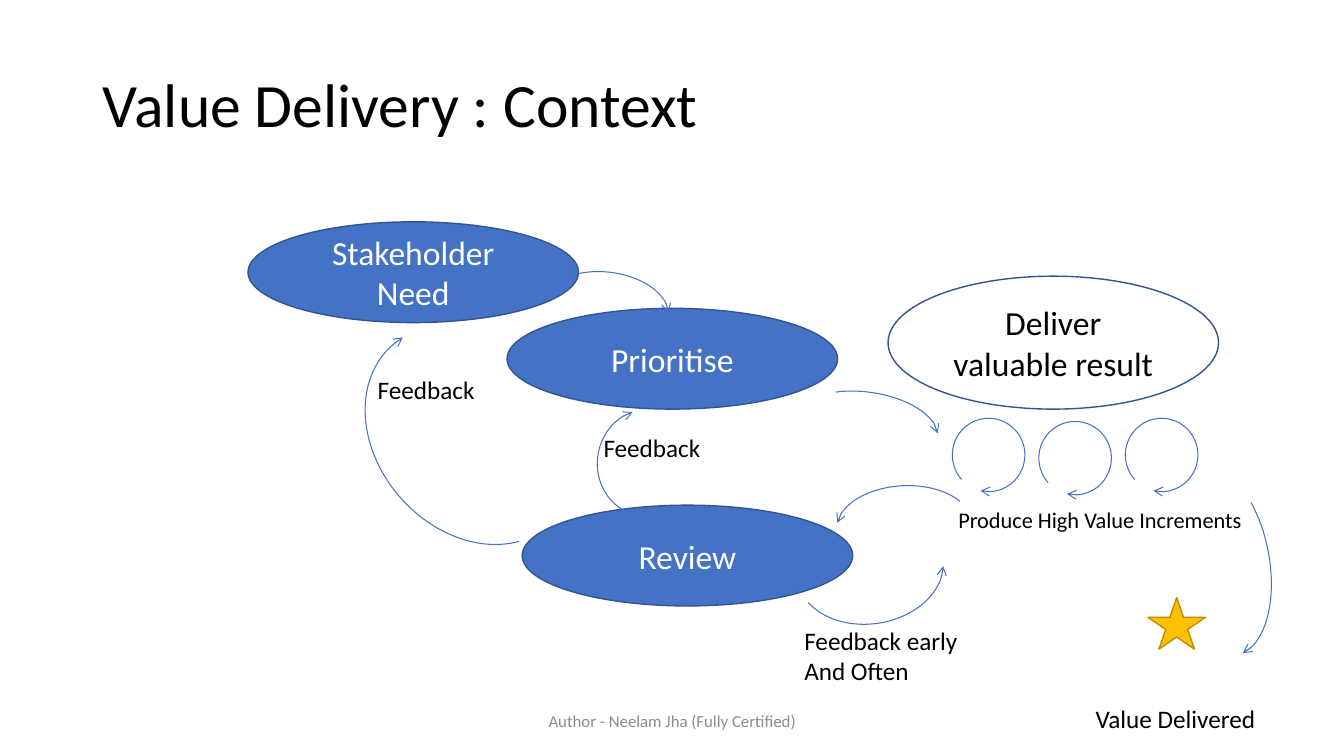
from lxml import etree
from pptx import Presentation
from pptx.dml.color import RGBColor
from pptx.enum.shapes import MSO_SHAPE
from pptx.enum.text import MSO_ANCHOR, PP_ALIGN
from pptx.oxml.ns import qn
from pptx.util import Cm, Pt

OVAL, ARC, STAR = MSO_SHAPE.OVAL, MSO_SHAPE.ARC, MSO_SHAPE.STAR_5_POINT
LEFT, CENTER = PP_ALIGN.LEFT, PP_ALIGN.CENTER
TOP, MIDDLE = MSO_ANCHOR.TOP, MSO_ANCHOR.MIDDLE

THEME = {
    "font": "Calibri",
    "blue": "4472C4", "edge": "325491", "gold": "FFC000", "rim": "BD8E00",
    "black": "000000", "white": "FFFFFF", "grey": "8C8C8C",
    "title": 44, "step": 24, "label": 18, "small": 16, "foot": 12,
}

# Content: boxes are left, top, width, height in cm
TITLE = ("Value Delivery : Context", (2.34, 0.86, 29.21, 3.68))
STEPS = [
    ("Stakeholder Need", (6.25, 5.59, 8.33, 2.54), "blue", "white"),
    ("Prioritise", (12.78, 7.77, 8.33, 2.54), "blue", "white"),
    ("Deliver\vvaluable result", (22.38, 6.96, 8.33, 3.35), None, "black"),
    ("Review", (13.16, 12.73, 8.33, 2.54), "blue", "white"),
]
LOOP = {"left": 24.0, "gap": 2.18, "tops": (10.54, 10.62, 10.54),
        "size": (1.83, 1.85), "span": (137.75, 102.8)}
OVER, UNDER, BACK = (222.99, 355.9), (200.55, 353.92), (173.88, 343.37)
# Arrows: box, rotation, start and end angle, flipped, arrowhead end
ARROWS = [
    ((13.74, 6.86, 3.12, 1.85), 7.8, OVER, False, "tail"),
    ((19.99, 9.88, 3.66, 1.85), 7.8, OVER, False, "tail"),
    ((20.07, 12.95, 3.71, 2.77), 351.8, UNDER, True, "tail"),
    ((28.19, 12.78, 4.93, 2.64), 78.4, OVER, False, "tail"),
    ((21.08, 12.24, 3.4, 2.03), 176.7, UNDER, True, "tail"),
    ((14.94, 10.44, 2.67, 2.44), 95.9, UNDER, True, "head"),
    ((8.86, 8.59, 6.02, 4.75), 49, BACK, True, "head"),
]
GOAL = (28.93, 15.06, 1.45, 1.3)
LABELS = [
    ("Produce High Value Increments", (23.9, 12.62, 7.75, 0.94),
     {"size": "small", "wrap": False}),
    ("Feedback early\nAnd Often", (20.02, 15.62, 5.97, 1.8), {}),
    ("Value Delivered", (27.36, 17.6, 4.6, 1.02), {"wrap": False}),
    ("Feedback", (14.96, 10.77, 5.97, 1.02), {}),
    ("Feedback", (9.27, 9.3, 5.97, 1.02), {}),
    ("Author - Neelam Jha (Fully Certified)", (11.23, 17.65, 11.43, 1.02),
     {"size": "foot", "color": "grey", "align": CENTER, "anchor": MIDDLE}),
]


def tint(name):
    return RGBColor.from_string(THEME[name])


def cms(box):
    return [Cm(n) for n in box]


def write(shape, text, size="label", color="black", align=LEFT,
          anchor=TOP, wrap=True, space=None):
    frame = shape.text_frame
    frame.word_wrap = wrap
    frame.vertical_anchor = anchor
    for i, line in enumerate(text.split("\n")):
        para = frame.add_paragraph() if i else frame.paragraphs[0]
        para.text = line
        para.alignment = align
        if space:
            para.line_spacing = space
        para.font.name = THEME["font"]
        para.font.size = Pt(THEME[size])
        para.font.color.rgb = tint(color)


def draw(slide, kind, box, fill, line, width=1):
    shape = slide.shapes.add_shape(kind, *cms(box))
    shape.shadow.inherit = False
    if fill:
        shape.fill.solid()
        shape.fill.fore_color.rgb = tint(fill)
    else:
        shape.fill.background()
    shape.line.color.rgb = tint(line)
    shape.line.width = Pt(width)
    return shape


def curve(slide, box, turn, span, flip, end):
    arc = draw(slide, ARC, box, None, "blue", 0.75)
    for i, angle in enumerate(span):
        arc.adjustments[i] = angle * 0.6  # 60000 units a degree, over 100000
    arc.rotation = turn
    props = arc.element.spPr
    if flip:
        props.find(qn("a:xfrm")).set("flipV", "1")
    etree.SubElement(props.find(qn("a:ln")), qn(f"a:{end}End"), type="arrow")


def main():
    deck = Presentation()
    deck.slide_width, deck.slide_height = Cm(33.87), Cm(19.05)
    slide = deck.slides.add_slide(deck.slide_layouts[5])

    # Title
    text, box = TITLE
    head = slide.shapes.title
    head.left, head.top, head.width, head.height = cms(box)
    write(head, text, size="title", anchor=MIDDLE, space=0.9)

    # Steps
    for text, box, fill, color in STEPS:
        oval = draw(slide, OVAL, box, fill, "edge")
        write(oval, text, size="step", color=color, align=CENTER, anchor=MIDDLE)

    # Increment loops
    for i, top in enumerate(LOOP["tops"]):
        box = (LOOP["left"] + i * LOOP["gap"], top, *LOOP["size"])
        curve(slide, box, 0, LOOP["span"], False, "tail")

    # Flow arrows and goal
    for arrow in ARROWS:
        curve(slide, *arrow)
    draw(slide, STAR, GOAL, "gold", "rim")

    # Labels and footer
    for text, box, style in LABELS:
        write(slide.shapes.add_textbox(*cms(box)), text, **style)

    deck.save("out.pptx")


if __name__ == "__main__":
    main()
